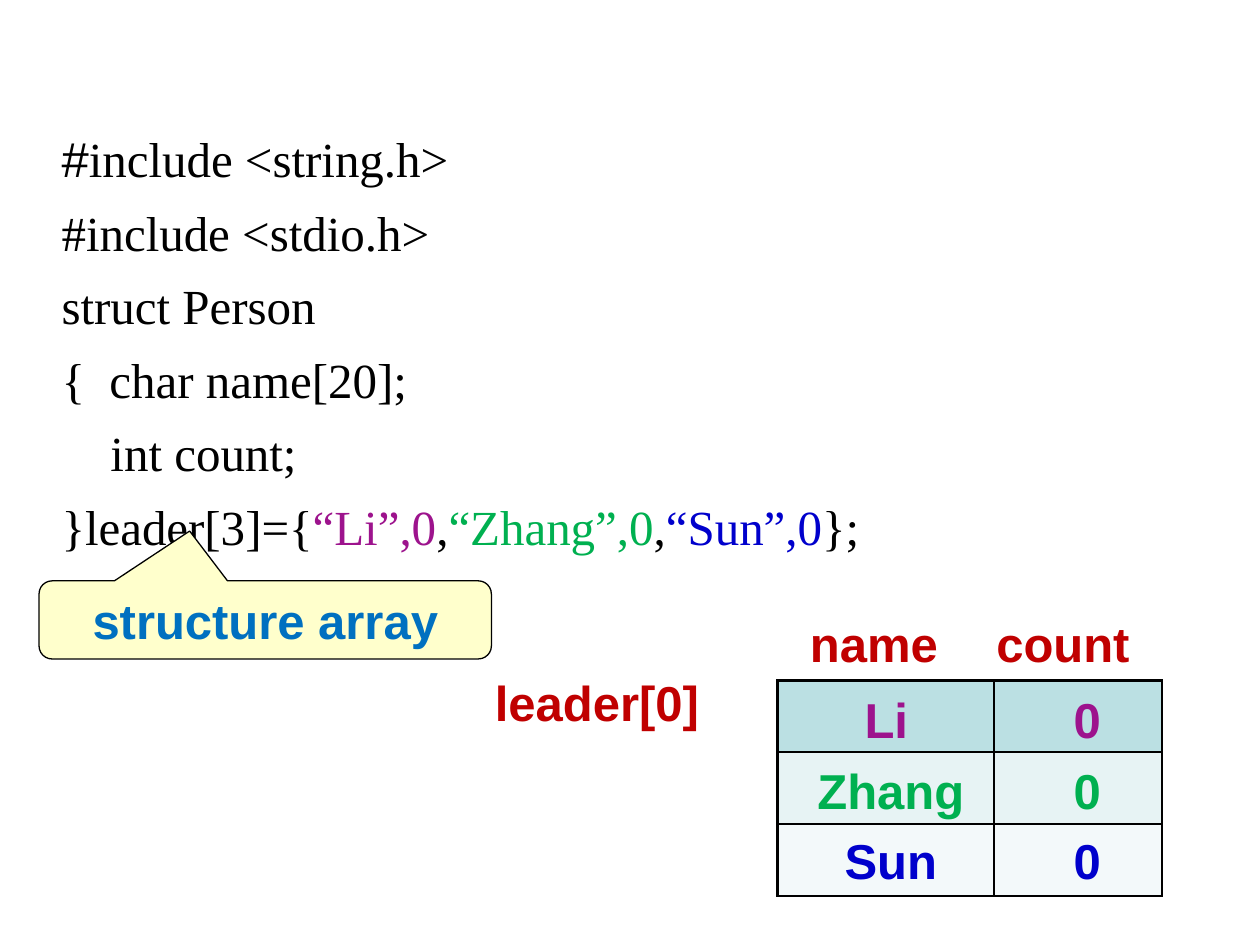
from lxml import etree
from pptx import Presentation
from pptx.dml.color import RGBColor
from pptx.enum.shapes import MSO_SHAPE
from pptx.enum.text import MSO_ANCHOR, PP_ALIGN
from pptx.oxml.ns import qn
from pptx.util import Inches, Pt

CALLOUT = MSO_SHAPE.ROUNDED_RECTANGULAR_CALLOUT
MIDDLE = MSO_ANCHOR.MIDDLE
LEFT, CENTER = PP_ALIGN.LEFT, PP_ALIGN.CENTER

BLACK = RGBColor(0x00, 0x00, 0x00)
PURPLE = RGBColor(0x9D, 0x13, 0x8D)
GREEN = RGBColor(0x00, 0xB0, 0x50)
NAVY = RGBColor(0x00, 0x00, 0xCC)
BLUE = RGBColor(0x00, 0x70, 0xC0)
RED = RGBColor(0xC0, 0x00, 0x00)
CREAM = RGBColor(0xFF, 0xFF, 0xCC)
ROW_FILLS = [RGBColor(0xBB, 0xE0, 0xE3), RGBColor(0xE7, 0xF3, 0xF4),
             RGBColor(0xF3, 0xF9, 0xFA)]


def add_run(p, text, color, font="Arial", bold=True):
    r = p.add_run()
    r.text = text
    values = {"name": font, "size": Pt(28), "bold": bold}
    for key, value in values.items():
        setattr(r.font, key, value)
    r.font.color.rgb = color


def add_label(text, left, top, width, color, align):
    box = s.shapes.add_textbox(Inches(left), Inches(top), Inches(width), Inches(0.57))
    box.text_frame.word_wrap = True
    p = box.text_frame.paragraphs[0]
    p.alignment = align
    add_run(p, text, color)


prs = Presentation()
prs.slide_width, prs.slide_height = Inches(10), Inches(7.5)
s = prs.slides.add_slide(prs.slide_layouts[6])

# Program code: one list of (text, colour) runs per line
code = [
    [("#", BLACK), ("include <string.h>", BLACK)],
    [("#include <stdio.h>", BLACK)],
    [("struct Person", BLACK)],
    [("{  char name[20];", BLACK)],
    [("    int count;", BLACK)],
    [("}leader[3]={", BLACK), ("“Li”,0", PURPLE), (",", BLACK),
     ("“Zhang”,0", GREEN), (",", BLACK), ("“Sun”,0", NAVY), ("};", BLACK)],
]
box = s.shapes.add_textbox(Inches(0.39), Inches(0.94), Inches(9.22), Inches(4.69))
tf = box.text_frame
tf.word_wrap = True
tf.margin_top = Inches(0.08)
for i, line in enumerate(code):
    p = tf.add_paragraph() if i else tf.paragraphs[0]
    p.space_before = Pt(8.4 if i else 0)
    pPr = p._p.get_or_add_pPr()
    pPr.set("marL", str(Inches(0.38)))
    pPr.set("indent", str(-Inches(0.38)))
    for text, color in line:
        font = "Arial" if text == "#" else "Times New Roman"
        add_run(p, text, color, font, bold=False)

# Callout pointing at the array declaration
sp = s.shapes.add_shape(CALLOUT, Inches(0.31), Inches(4.61), Inches(3.59), Inches(0.62))
sp.shadow.inherit = False
for i, value in enumerate([-0.167, -1.138, 0.167]):
    sp.adjustments[i] = value
sp.fill.solid()
sp.fill.fore_color.rgb = CREAM
sp.line.color.rgb = BLACK
sp.line.width = Pt(0.75)
tf = sp.text_frame
tf.word_wrap = False
tf.vertical_anchor = MIDDLE
p = tf.paragraphs[0]
p.alignment = CENTER
add_run(p, "structure array", BLUE)

# Memory grid
table = s.shapes.add_table(3, 2, Inches(6.17), Inches(5.4), Inches(3.05), Inches(1.71)).table
for column, width in zip(table.columns, [1.72, 1.33]):
    column.width = Inches(width)
for row, fill in zip(table.rows, ROW_FILLS):
    row.height = Inches(0.57)
    for cell in row.cells:
        tcPr = cell._tc.get_or_add_tcPr()
        for side in ("a:lnL", "a:lnR", "a:lnT", "a:lnB"):
            ln = etree.SubElement(tcPr, qn(side), w=str(Pt(1.47)))
            solid = etree.SubElement(ln, qn("a:solidFill"))
            etree.SubElement(solid, qn("a:srgbClr"), val=str(BLACK))
        cell.fill.solid()
        cell.fill.fore_color.rgb = fill

for text, left, top, width in [("name", 6.33, 4.82, 1.56), ("count", 7.81, 4.82, 1.56),
                               ("leader[0]", 3.83, 5.29, 2.5)]:
    add_label(text, left, top, width, RED, LEFT)

for name, left, top, width, color in [("Li", 6.33, 5.42, 1.41, PURPLE),
                                      ("Zhang", 6.25, 5.99, 1.64, GREEN),
                                      ("Sun", 6.25, 6.54, 1.64, NAVY)]:
    add_label(name, left, top, width, color, CENTER)
    add_label("0", 8.28, top, 0.7, color, CENTER)

prs.save("out.pptx")
